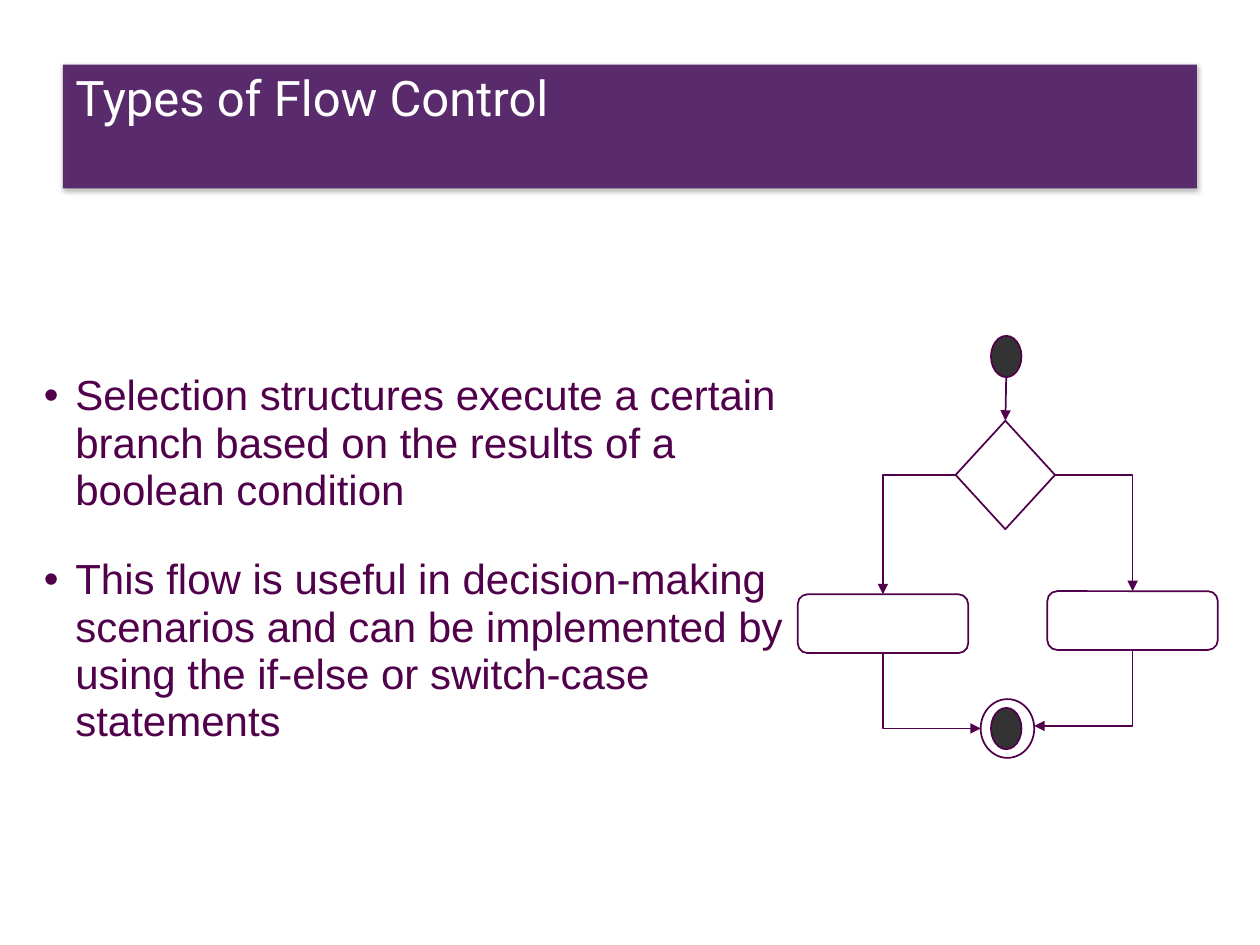
from lxml.etree import SubElement
from pptx import Presentation
from pptx.dml.color import RGBColor
from pptx.enum.shapes import MSO_CONNECTOR as LINK, MSO_SHAPE as SHAPE
from pptx.enum.text import MSO_ANCHOR, PP_ALIGN
from pptx.oxml import parse_xml
from pptx.oxml.ns import nsdecls, qn
from pptx.util import Pt

PLUM = RGBColor(0x51, 0x00, 0x4B)
PURPLE = RGBColor(0x56, 0x24, 0x69)
CHARCOAL = RGBColor(0x33, 0x33, 0x33)
WHITE = RGBColor(0xFF, 0xFF, 0xFF)

BULLETS = [
    "Selection structures execute a certain branch based on the results of a boolean condition",
    "This flow is useful in decision-making scenarios and can be implemented by "
    "using the if-else or switch-case statements",
]


class FlowSlide:
    def __init__(self, page):
        self.page = page
        self.line_color = PLUM
        self.line_width = Pt(1)

    def set_insets(self, frame, top):
        frame.word_wrap = True
        frame.vertical_anchor = MSO_ANCHOR.TOP
        frame.margin_left = frame.margin_right = Pt(7.2)
        frame.margin_top, frame.margin_bottom = Pt(top), Pt(3.6)

    def style_text(self, para, font, size, color, spacing):
        para.alignment = PP_ALIGN.LEFT
        para.line_spacing = spacing
        for span in para.runs:
            span.font.name = font
            span.font.size = Pt(size)
            span.font.color.rgb = color

    def title(self, text, left, top, width, height):
        box = self.page.shapes.add_shape(
            SHAPE.RECTANGLE, Pt(left), Pt(top), Pt(width), Pt(height))
        box.fill.solid()
        box.fill.fore_color.rgb = PURPLE
        color = box.fill._xPr.find(qn("a:solidFill"))[0]
        SubElement(color, qn("a:alpha"), val="95000")
        box.line.fill.background()
        box._element.spPr.append(parse_xml(
            f'<a:effectLst {nsdecls("a")}><a:outerShdw blurRad="38100" dist="12700" '
            'dir="5400000" rotWithShape="0"><a:srgbClr val="000000">'
            '<a:alpha val="30000"/></a:srgbClr></a:outerShdw></a:effectLst>'))
        self.set_insets(box.text_frame, 0)
        box.text_frame.text = text
        self.style_text(box.text_frame.paragraphs[0], "Roboto", 28, WHITE, 1.05)

    def bullets(self, texts, left, top, width, height):
        box = self.page.shapes.add_textbox(Pt(left), Pt(top), Pt(width), Pt(height))
        frame = box.text_frame
        self.set_insets(frame, 33)
        frame.text = "\n".join(texts)
        for index, para in enumerate(frame.paragraphs):
            self.style_text(para, "Arial", 24, PLUM, 0.94)
            para.space_before = Pt(24 if index else 0)
            properties = para._p.get_or_add_pPr()
            properties.set("marL", str(Pt(18)))
            properties.set("indent", str(-Pt(18)))
            SubElement(properties, qn("a:buFont"), typeface="Arial")
            SubElement(properties, qn("a:buChar"), char="•")

    def node(self, kind, center_x, center_y, width, height, fill=None):
        node = self.page.shapes.add_shape(
            kind, Pt(center_x - width / 2), Pt(center_y - height / 2), Pt(width), Pt(height))
        node.shadow.inherit = False
        if fill is None:
            node.fill.background()
        else:
            node.fill.solid()
            node.fill.fore_color.rgb = fill
        node.line.color.rgb = self.line_color
        node.line.width = self.line_width

    def arrow(self, start_x, start_y, end_x, end_y, kind=LINK.STRAIGHT):
        link = self.page.shapes.add_connector(
            kind, Pt(start_x), Pt(start_y), Pt(end_x), Pt(end_y))
        link.line.color.rgb = self.line_color
        link.line.width = self.line_width
        SubElement(link.line._get_or_add_ln(), qn("a:tailEnd"), type="triangle")
        SubElement(link._element.spPr, qn("a:effectLst"))
        return link

    def elbow_across(self, *ends):
        link = self.arrow(*ends, kind=LINK.ELBOW)
        link._element.spPr.find(qn("a:prstGeom")).set("prst", "bentConnector2")
        return link

    def elbow_down(self, start_x, start_y, end_x, end_y):
        middle_x, middle_y = (start_x + end_x) / 2, (start_y + end_y) / 2
        half_width, half_height = (end_y - start_y) / 2, abs(end_x - start_x) / 2
        rightward = end_x > start_x
        if rightward:
            half_width = -half_width
        link = self.elbow_across(middle_x - half_width, middle_y - half_height,
                                 middle_x + half_width, middle_y + half_height)
        link._element.spPr.xfrm.set("rot", str((270 if rightward else 90) * 60000))


deck = Presentation()
deck.slide_width, deck.slide_height = Pt(720), Pt(540)
slide = FlowSlide(deck.slides.add_slide(deck.slide_layouts[6]))

slide.title("Types of Flow Control", 36, 36.9, 648, 70.8)
slide.bullets(BULLETS, 18, 180, 438, 289.5)

axis = 575
decision_y, decision_width, decision_height = 271.4, 56.8, 62
box_width, box_height = 97.4, 33.6
end_y, ring_width = 416.3, 30.6

for dot_y in (203.7, end_y):
    slide.node(SHAPE.FLOWCHART_CONNECTOR, axis, dot_y, 17.4, 23.6, CHARCOAL)
slide.node(SHAPE.FLOWCHART_CONNECTOR, axis + 0.7, end_y, ring_width, 33.6)
slide.node(SHAPE.DIAMOND, axis - 0.5, decision_y, decision_width, decision_height)
slide.arrow(axis, 215.5, axis - 0.5, decision_y - decision_height / 2)

for side, box_x, box_y, target_y in ((-1, 504.6, 356.4, end_y), (1, 647.2, 354.6, 414.8)):
    slide.node(SHAPE.ROUNDED_RECTANGLE, box_x, box_y, box_width, box_height)
    slide.elbow_across(axis - 0.5 + side * decision_width / 2, decision_y,
                       box_x, box_y - box_height / 2)
    slide.elbow_down(box_x, box_y + box_height / 2,
                     axis + 0.7 + side * ring_width / 2, target_y)

deck.save("out.pptx")
